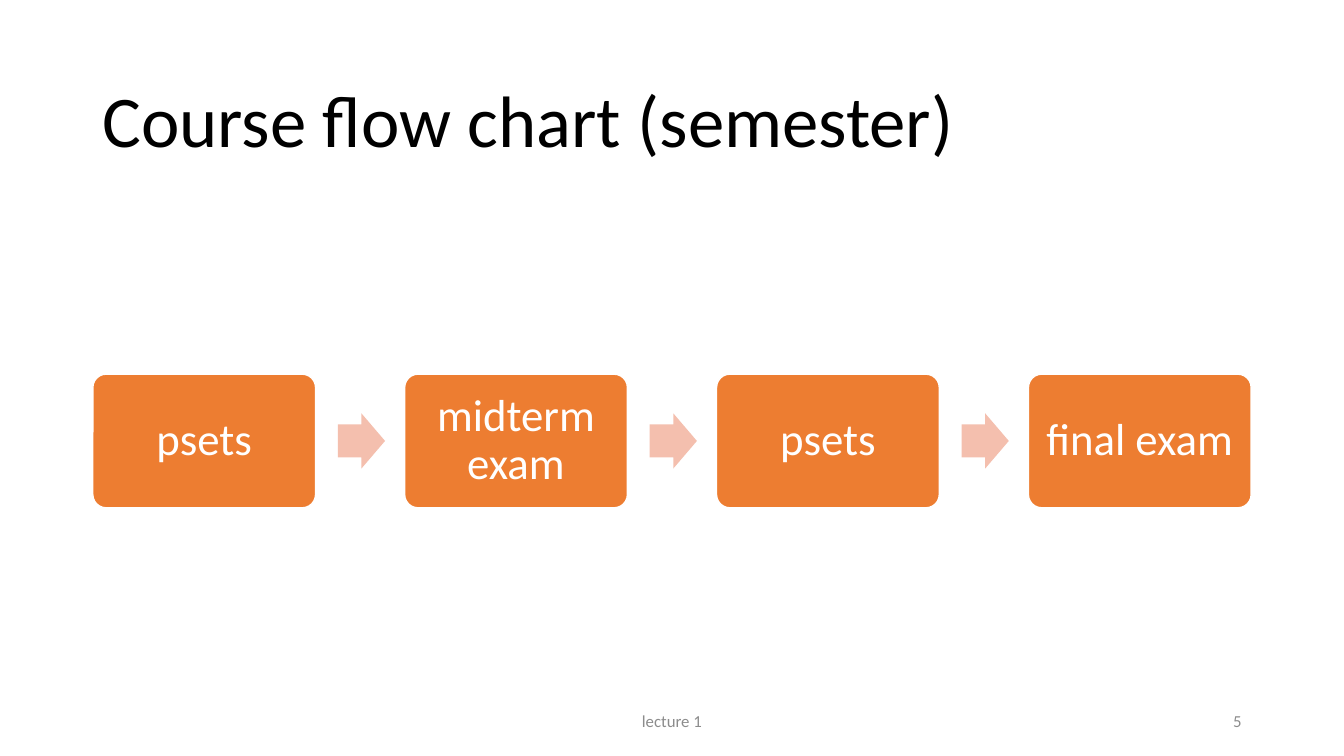
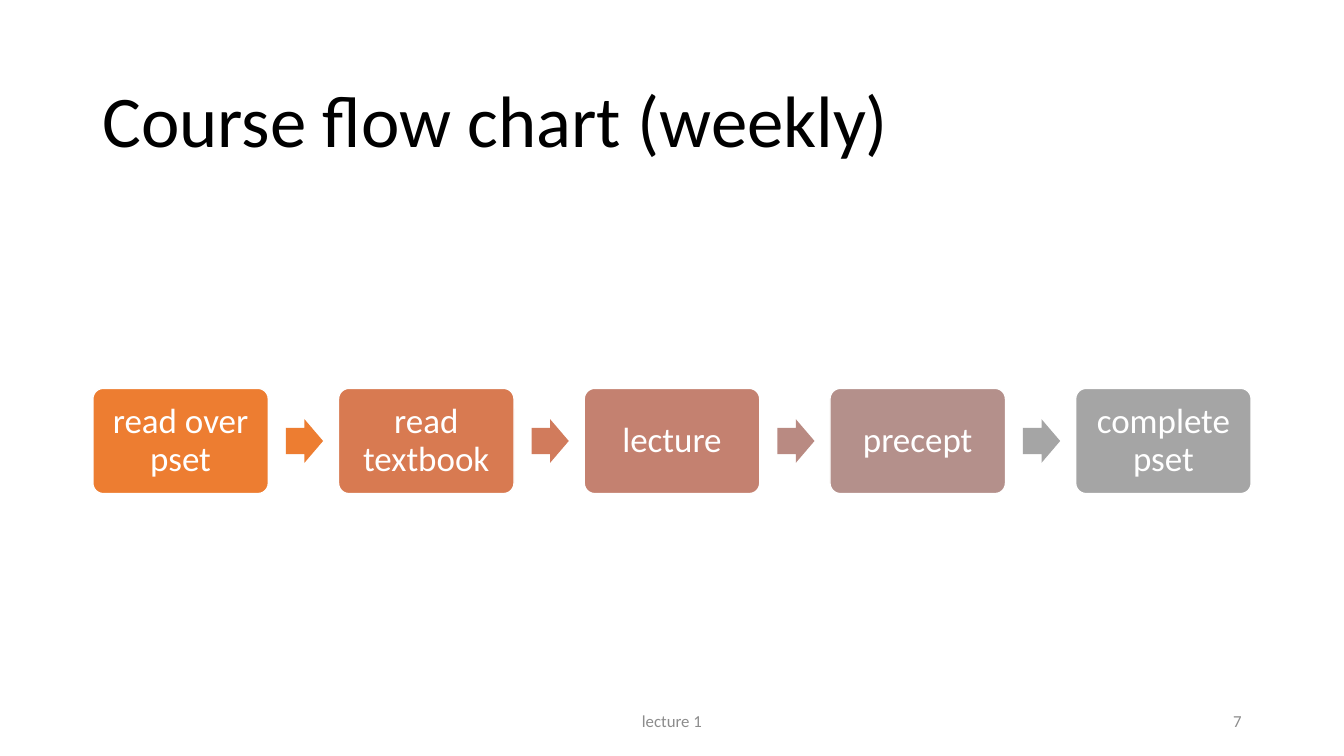
import pptx
import pptx.util
import pptx.dml.color
import pptx.enum.shapes
import pptx.enum.text
from dataclasses import dataclass

Pt = pptx.util.Pt
Align = pptx.enum.text.PP_ALIGN
Shapes = pptx.enum.shapes.MSO_SHAPE


@dataclass(frozen=True)
class Theme:
    font: str = "Calibri"
    title_size: float = 52
    footer_size: float = 12
    title_color: str = "000000"
    footer_color: str = "8C8C8C"
    white: str = "FFFFFF"
    orange: str = "ED7D31"
    pale_orange: str = "F4BFAE"
    gray: str = "A5A5A5"


theme = Theme()


def write_text(shape, text, size, color, alignment, line_spacing=1.0, inset=None):
    frame = shape.text_frame
    frame_format = {"word_wrap": True, "vertical_anchor": pptx.enum.text.MSO_ANCHOR.MIDDLE}
    if inset is not None:
        for side in ("left", "top", "right", "bottom"):
            frame_format[f"margin_{side}"] = Pt(inset)
    paragraph = frame.paragraphs[0]
    paragraph.text = text
    paragraph.font.color.rgb = pptx.dml.color.RGBColor.from_string(color)
    formats = (
        (frame, frame_format),
        (paragraph, {"alignment": alignment, "line_spacing": line_spacing}),
        (paragraph.font, {"name": theme.font, "size": Pt(size)}),
    )
    for target, values in formats:
        for name, value in values.items():
            setattr(target, name, value)


def add_filled_shape(slide, kind, box, adjustments, color):
    shape = slide.shapes.add_shape(kind, *map(Pt, box))
    shape.shadow.inherit = False
    shape.fill.solid()
    shape.fill.fore_color.rgb = pptx.dml.color.RGBColor.from_string(color)
    shape.line.fill.background()
    for index, value in enumerate(adjustments):
        shape.adjustments[index] = value
    return shape


flow_charts = [
    {
        "title": "Course flow chart (semester)",
        "number": "5",
        "size": 32,
        "steps": ["psets", "midterm exam", "psets", "final exam"],
        "step_colors": [theme.orange] * 4,
        "arrow_colors": [theme.pale_orange] * 3,
    },
    {
        "title": "Course flow chart (weekly)",
        "number": "7",
        "size": 25,
        "steps": ["read over pset", "read textbook", "lecture", "precept", "complete pset"],
        "step_colors": [theme.orange, "D87A51", "C48170", "B4908B", theme.gray],
        "arrow_colors": [theme.orange, "D17B5C", "B98A82", theme.gray],
    },
]

flow_left, flow_width, flow_middle = 66.3, 827.4, 315
gap_ratio = 0.4

presentation = pptx.Presentation()
presentation.slide_width = Pt(960)
presentation.slide_height = Pt(540)

for chart in flow_charts:
    slide = presentation.slides.add_slide(presentation.slide_layouts[6])

    title = slide.shapes.add_textbox(Pt(66), Pt(44), Pt(828), Pt(89))
    write_text(title, chart["title"], theme.title_size, theme.title_color, Align.LEFT, 0.9)

    footers = (("lecture 1", 318, 324, Align.CENTER), (chart["number"], 678, 216, Align.RIGHT))
    for text, left, width, alignment in footers:
        footer = slide.shapes.add_textbox(Pt(left), Pt(500.5), Pt(width), Pt(28.75))
        write_text(footer, text, theme.footer_size, theme.footer_color, alignment)

    count = len(chart["steps"])
    step_width = flow_width / (count + gap_ratio * (count - 1))
    step_height = 0.6 * step_width
    arrow_width, arrow_height = 0.212 * step_width, 0.248 * step_width

    for index, (text, color) in enumerate(zip(chart["steps"], chart["step_colors"])):
        left = flow_left + index * step_width * (1 + gap_ratio)
        step_box = (left, flow_middle - step_height / 2, step_width, step_height)
        step = add_filled_shape(slide, Shapes.ROUNDED_RECTANGLE, step_box, [0.1], color)
        step.line.color.rgb = pptx.dml.color.RGBColor.from_string(theme.white)
        step.line.width = Pt(1)
        write_text(step, text, chart["size"], theme.white, Align.CENTER, 0.9, 0.058 * step_width)

        if index < count - 1:
            arrow_box = (left + 1.1 * step_width, flow_middle - arrow_height / 2, arrow_width, arrow_height)
            add_filled_shape(slide, Shapes.RIGHT_ARROW, arrow_box, [0.6, 0.5], chart["arrow_colors"][index])

presentation.save("out.pptx")
